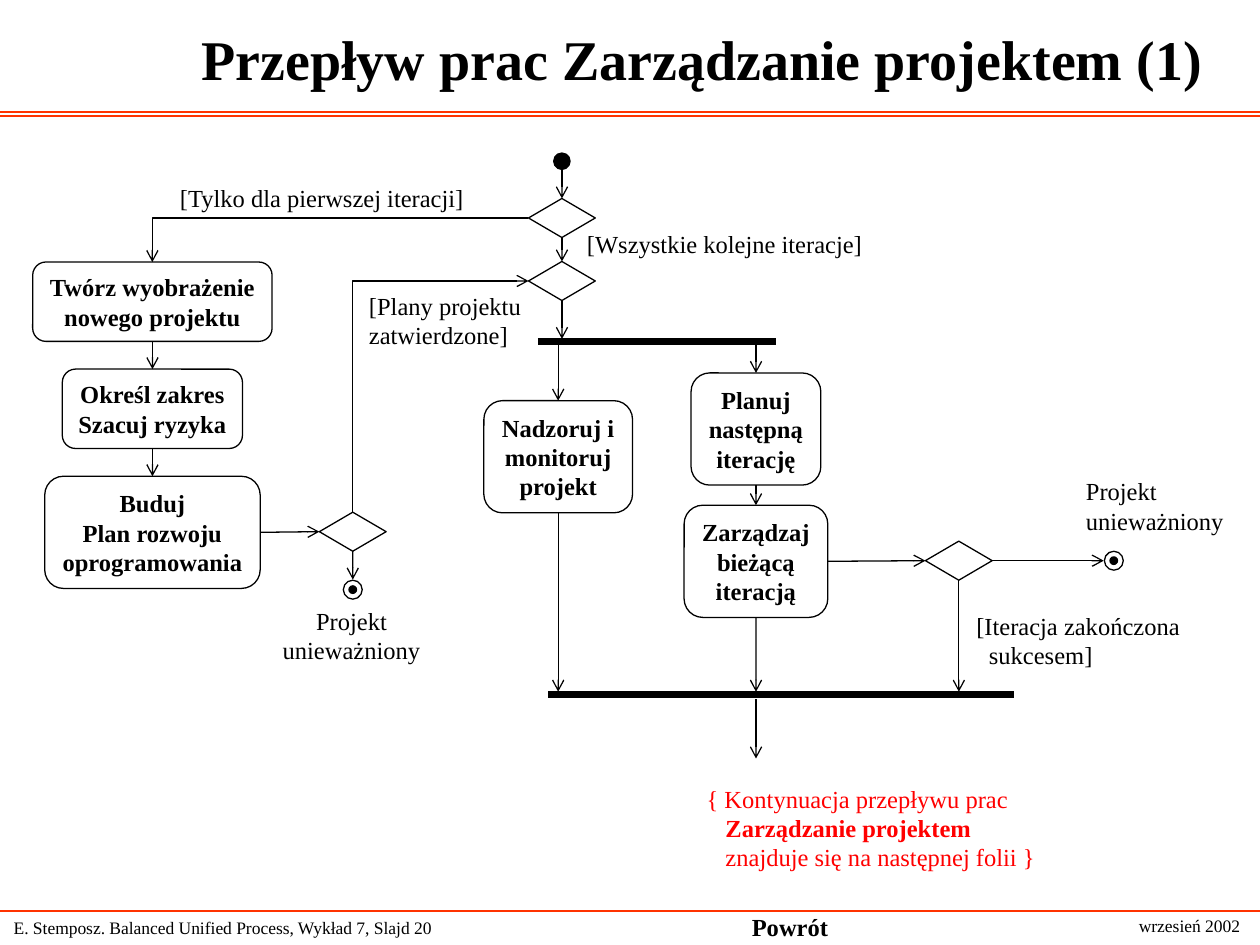
from lxml import etree
from pptx import Presentation
from pptx.dml.color import RGBColor
from pptx.enum.shapes import MSO_CONNECTOR as Connector, MSO_SHAPE as Shape
from pptx.enum.text import MSO_ANCHOR as Anchor, MSO_AUTO_SIZE as AutoSize, PP_ALIGN as Align
from pptx.oxml.ns import qn
from pptx.util import Inches, Pt

BLACK = RGBColor(0, 0, 0)
RED = RGBColor(0xFF, 0, 0)
ORANGE = RGBColor(0xFF, 0x33, 0)
FONT = "Times New Roman"
THIN, BAR = 0.75, 4
TOP, LEFT, BOTTOM, RIGHT = range(4)

# Column centres and bar heights, in inches
START_X, INCEPTION_X, APPROVAL_X = 4.46, 1.21, 2.8
MONITOR_X, PLAN_X, OUTCOME_X, CANCEL_X = 4.43, 6, 7.61, 8.84
FORK_Y, JOIN_Y = 2.71, 5.51


def write_lines(frame, lines, size=14, bold=False, color=BLACK, align=Align.LEFT, indent=0):
    """Fill a frame with one paragraph per line; indent applies after the first."""
    frame.text = "\n".join(lines)
    for number, paragraph in enumerate(frame.paragraphs):
        paragraph.alignment = align
        if number and indent:
            paragraph._p.get_or_add_pPr().set("marL", str(Inches(indent)))
        font = paragraph.font
        font.name, font.size, font.bold = FONT, Pt(size), bold
        font.color.rgb = color


def add_label(slide, left, top, width, lines, height=None, anchor=Anchor.TOP, **style):
    height = height or 0.11 + 0.23 * len(lines)
    label = slide.shapes.add_textbox(Inches(left), Inches(top), Inches(width), Inches(height))
    frame = label.text_frame
    frame.word_wrap = True
    frame.vertical_anchor = anchor
    write_lines(frame, lines, **style)
    return label


def add_node(shapes, kind, center_x, center_y, width, height, filled=False):
    node = shapes.add_shape(kind, Inches(center_x - width / 2), Inches(center_y - height / 2),
                            Inches(width), Inches(height))
    node.shadow.inherit = False
    if filled:
        node.fill.solid()
        node.fill.fore_color.rgb = BLACK
    else:
        node.fill.background()
    node.line.color.rgb = BLACK
    node.line.width = Pt(THIN)
    return node


def add_activity(slide, center_x, top, width, lines):
    height = 0.63 if len(lines) == 2 else 0.89
    activity = add_node(slide.shapes, Shape.ROUNDED_RECTANGLE, center_x, top + height / 2,
                        width, height)
    frame = activity.text_frame
    frame.word_wrap = False
    frame.vertical_anchor = Anchor.MIDDLE
    write_lines(frame, lines, bold=True, align=Align.CENTER)
    return activity


def add_decision(slide, center_x, center_y):
    return add_node(slide.shapes, Shape.DIAMOND, center_x, center_y, 0.53, 0.31)


def add_final_state(slide, center_x, center_y):
    group = slide.shapes.add_group_shape()
    add_node(group.shapes, Shape.OVAL, center_x, center_y, 0.15, 0.15)
    add_node(group.shapes, Shape.OVAL, center_x, center_y, 0.06, 0.06, filled=True)


def add_line(slide, start, end, kind=Connector.STRAIGHT, color=BLACK, width=THIN):
    points = [Inches(value) for value in (*start, *end)]
    line = slide.shapes.add_connector(kind, *points)
    line.line.color.rgb = color
    line.line.width = Pt(width)
    etree.SubElement(line._element.spPr, qn("a:effectLst"))
    return line


def locate(end):
    """Give the point of an end, which is (x, y) or (shape, side)."""
    if isinstance(end[0], (int, float)):
        return end
    node, side = end
    x = node.left + node.width * {LEFT: 0, RIGHT: 1}.get(side, 0.5)
    y = node.top + node.height * {TOP: 0, BOTTOM: 1}.get(side, 0.5)
    return x / Inches(1), y / Inches(1)


def add_flow(slide, start, end, bent=False, arrow_at_start=False):
    """Join two ends with an arrow; a bent one runs across, then down."""
    kind = Connector.ELBOW if bent else Connector.STRAIGHT
    flow = add_line(slide, locate(start), locate(end), kind)
    if bent:
        flow._element.spPr.find(qn("a:prstGeom")).set("prst", "bentConnector2")
    tag = "a:headEnd" if arrow_at_start else "a:tailEnd"
    etree.SubElement(flow.line._get_or_add_ln(), qn(tag), type="arrow")
    for (target, side), connect in ((start, flow.begin_connect), (end, flow.end_connect)):
        if not isinstance(target, (int, float)):
            connect(target, side)


def add_frame(slide):
    """Title, rules and footer."""
    title = slide.shapes.title
    title.left, title.top = Inches(1.16), Inches(0)
    title.width, title.height = Inches(8.83), Inches(0.92)
    title.text_frame.auto_size = AutoSize.NONE
    title.text_frame.vertical_anchor = Anchor.MIDDLE
    write_lines(title.text_frame, ["Przepływ prac Zarządzanie projektem (1)"],
                size=32, bold=True, align=Align.CENTER)
    for y in (0.89, 0.92, 7.23):
        add_line(slide, (0, y), (10, y), color=ORANGE)
    add_label(slide, 0.01, 7.23, 4.48, ["E. Stemposz. Balanced Unified Process, Wykład 7, Slajd 20"],
              height=0.27, anchor=Anchor.MIDDLE, size=10)
    add_label(slide, 8.88, 7.21, 1.12, ["wrzesień 2002"],
              height=0.27, anchor=Anchor.MIDDLE, size=10, align=Align.CENTER)
    add_label(slide, 5.77, 7.19, 1, ["Powrót"], height=0.31, bold=True, align=Align.CENTER)


def add_diagram(slide):
    add_node(slide.shapes, Shape.OVAL, START_X, 1.28, 0.13, 0.13, filled=True)
    first = add_decision(slide, START_X, 1.73)
    merge = add_decision(slide, START_X, 2.23)
    approval = add_decision(slide, APPROVAL_X, 4.22)
    outcome = add_decision(slide, OUTCOME_X, 4.45)
    vision = add_activity(slide, INCEPTION_X, 2.08, 1.9, ["Twórz wyobrażenie", "nowego projektu"])
    scope = add_activity(slide, INCEPTION_X, 2.93, 1.43, ["Określ zakres", "Szacuj ryzyka"])
    build = add_activity(slide, INCEPTION_X, 3.78, 1.71,
                         ["Buduj", "Plan rozwoju", "oprogramowania"])
    monitor = add_activity(slide, MONITOR_X, 3.18, 1.18, ["Nadzoruj i", "monitoruj", "projekt"])
    plan = add_activity(slide, PLAN_X, 2.96, 1.03, ["Planuj", "następną", "iterację"])
    manage = add_activity(slide, PLAN_X, 4.01, 1.14, ["Zarządzaj", "bieżącą", "iteracją"])
    add_final_state(slide, APPROVAL_X, 4.68)
    add_final_state(slide, CANCEL_X, 4.45)
    add_line(slide, (4.27, FORK_Y), (6.16, FORK_Y), width=BAR)
    add_line(slide, (4.35, JOIN_Y), (8.05, JOIN_Y), width=BAR)

    above_join = JOIN_Y - 0.02
    for start, end in (
        ((START_X, 1.34), (first, TOP)),
        ((first, BOTTOM), (merge, TOP)),
        ((merge, BOTTOM), (START_X, FORK_Y - 0.02)),
        ((vision, BOTTOM), (scope, TOP)),
        ((scope, BOTTOM), (build, TOP)),
        ((build, RIGHT), (approval, LEFT)),
        ((approval, BOTTOM), (APPROVAL_X, 4.6)),
        ((MONITOR_X, FORK_Y), (monitor, TOP)),
        ((PLAN_X, FORK_Y), (plan, TOP)),
        ((plan, BOTTOM), (manage, TOP)),
        ((manage, RIGHT), (outcome, LEFT)),
        ((outcome, RIGHT), (CANCEL_X - 0.08, 4.45)),
        ((monitor, BOTTOM), (MONITOR_X, above_join)),
        ((manage, BOTTOM), (PLAN_X, above_join)),
        ((outcome, BOTTOM), (OUTCOME_X, above_join)),
        ((PLAN_X, 5.55), (PLAN_X, 6.02)),
    ):
        add_flow(slide, start, end)
    add_flow(slide, (first, LEFT), (vision, TOP), bent=True)
    add_flow(slide, (merge, LEFT), (approval, TOP), bent=True, arrow_at_start=True)


def add_labels(slide):
    add_label(slide, 1.33, 1.4, 2.6, ["[Tylko dla pierwszej iteracji]"])
    add_label(slide, 4.56, 1.77, 2.5, ["[Wszystkie kolejne iteracje]"])
    add_label(slide, 2.83, 2.26, 1.5, ["[Plany projektu", "zatwierdzone]"])
    cancelled = ["Projekt", "unieważniony"]
    add_label(slide, 2.09, 4.76, 1.4, cancelled, align=Align.CENTER)
    add_label(slide, 8.52, 3.73, 1.4, cancelled)
    add_label(slide, 7.65, 4.8, 1.95, ["[Iteracja zakończona", "sukcesem]"], indent=0.1)
    note = add_label(slide, 5.51, 6.17, 3,
                     ["{ Kontynuacja przepływu prac", "Zarządzanie projektem",
                      "znajduje się na następnej folii }"], color=RED, indent=0.15)
    note.text_frame.paragraphs[1].font.bold = True


def main():
    presentation = Presentation()
    presentation.slide_width, presentation.slide_height = Inches(10), Inches(7.5)
    slide = presentation.slides.add_slide(presentation.slide_layouts[5])
    add_frame(slide)
    add_diagram(slide)
    add_labels(slide)
    presentation.save("out.pptx")


if __name__ == "__main__":
    main()
